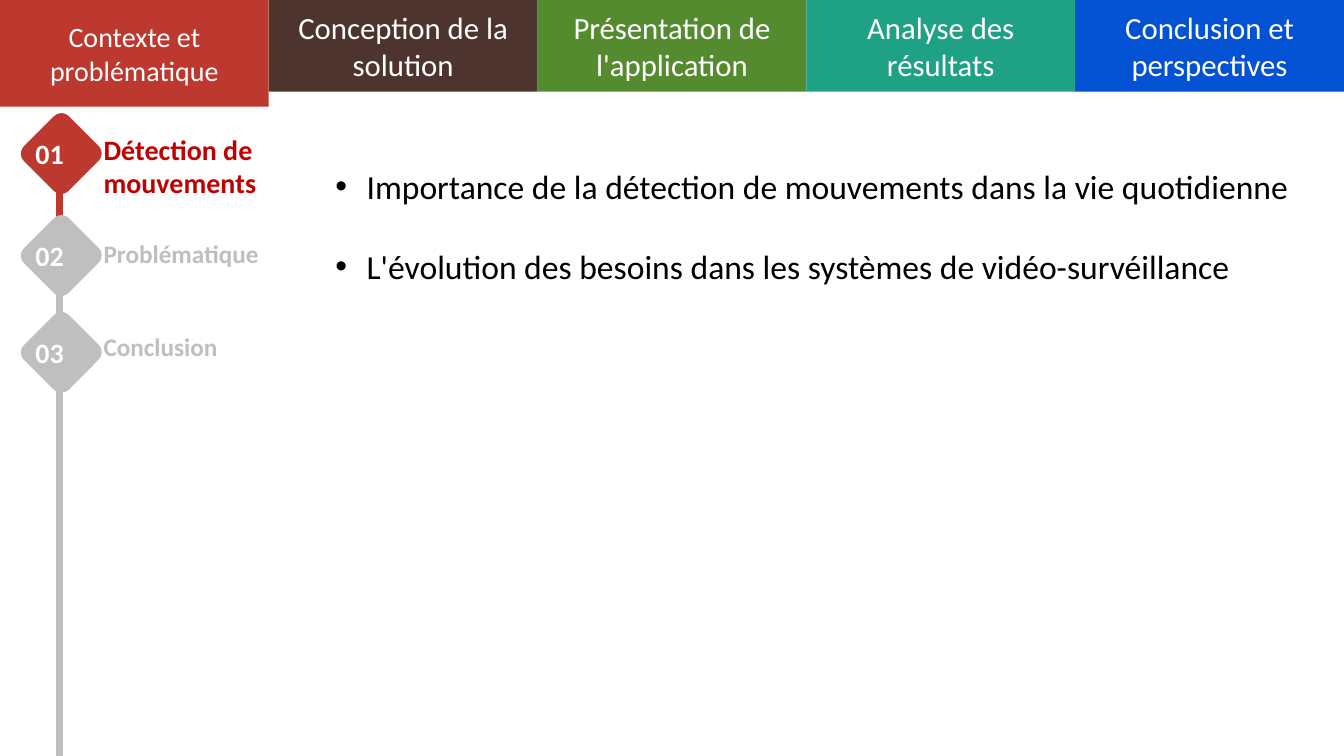
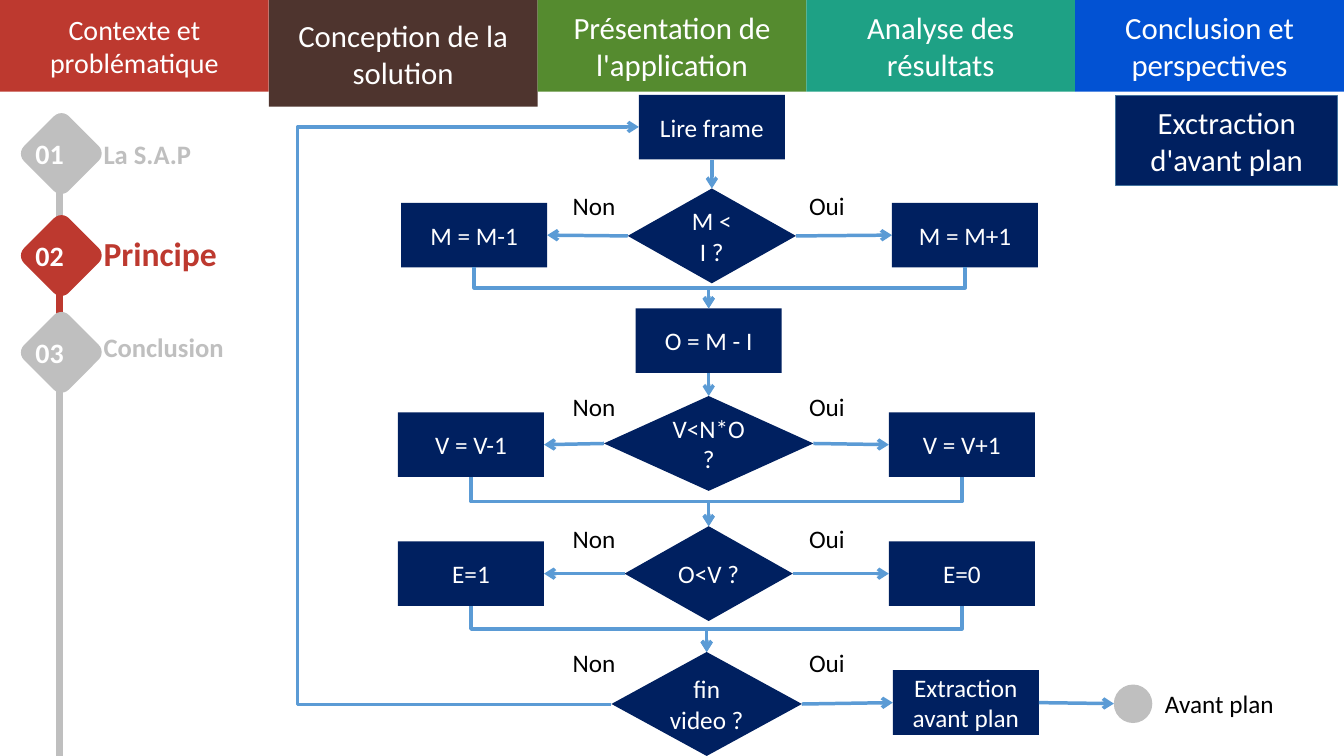
from lxml import etree
from pptx import Presentation
from pptx.dml.color import RGBColor
from pptx.enum.shapes import MSO_CONNECTOR, MSO_SHAPE
from pptx.enum.text import MSO_ANCHOR, PP_ALIGN
from pptx.oxml.ns import qn
from pptx.util import Cm, Pt

RECT = MSO_SHAPE.RECTANGLE
ROUND = MSO_SHAPE.ROUNDED_RECTANGLE
RHOMB = MSO_SHAPE.DIAMOND
OVAL = MSO_SHAPE.OVAL
STRAIGHT = MSO_CONNECTOR.STRAIGHT
ELBOW = MSO_CONNECTOR.ELBOW
LEFT, MID, RIGHT = PP_ALIGN.LEFT, PP_ALIGN.CENTER, PP_ALIGN.RIGHT
TOP, CENTER = MSO_ANCHOR.TOP, MSO_ANCHOR.MIDDLE
N, W, S, E = range(4)

FONT = "Calibri"
WHITE, BLACK, GREY = "FFFFFF", "000000", "BFBFBF"
RED, DARK, NAVY, BLUE = "BD392F", "C00000", "002060", "5B9BD5"
WIDE, HIGH = 33.87, 19.05
BOX_W, BOX_H = 3.68, 1.63
TABS = [
    ("Contexte et problématique", RED, 20),
    ("Conception de la solution", "4E342E", 22),
    ("Présentation de l'application", "558B2F", 22),
    ("Analyse des résultats", "1EA185", 22),
    ("Conclusion et perspectives", "0252D3", 22),
]
STEPS = [3.87, 6.44, 8.88]


def color(code):
    return RGBColor.from_string(code)


class Deck:
    def __init__(self):
        self.prs = Presentation()
        self.prs.slide_width, self.prs.slide_height = Cm(WIDE), Cm(HIGH)
        self.shapes = None

    def page(self, tab, step, labels):
        self.shapes = self.prs.slides.add_slide(self.prs.slide_layouts[6]).shapes
        self.tabs(tab)
        self.rail(step, labels)

    def fill_para(self, para, text, size, ink, align=LEFT, bold=False):
        para.text = text
        para.alignment = align
        font = para.font
        font.name, font.size, font.bold = FONT, Pt(size), bold
        font.color.rgb = color(ink)

    def block(self, kind, x, y, w, h, fill, text="", size=18, edge=None):
        shape = self.shapes.add_shape(kind, Cm(x), Cm(y), Cm(w), Cm(h))
        shape.shadow.inherit = False
        shape.fill.solid()
        shape.fill.fore_color.rgb = color(fill)
        if edge:
            shape.line.color.rgb = color(edge)
            shape.line.width = Pt(1)
        else:
            shape.line.fill.background()
        if text:
            frame = shape.text_frame
            frame.word_wrap = True
            frame.vertical_anchor = CENTER
            self.fill_para(frame.paragraphs[0], text, size, WHITE, MID)
        return shape

    def box(self, x, y, text):
        return self.block(RECT, x, y, BOX_W, BOX_H, NAVY, text)

    def label(self, x, y, w, h, text, size=18, ink=BLACK, align=LEFT,
              bold=False, anchor=TOP):
        frame = self.shapes.add_textbox(Cm(x), Cm(y), Cm(w), Cm(h)).text_frame
        frame.word_wrap = True
        frame.vertical_anchor = anchor
        self.fill_para(frame.paragraphs[0], text, size, ink, align, bold)

    def bullets(self, x, y, w, h, items):
        frame = self.shapes.add_textbox(Cm(x), Cm(y), Cm(w), Cm(h)).text_frame
        frame.word_wrap = True
        for i, item in enumerate(items):
            para = frame.add_paragraph() if i else frame.paragraphs[0]
            if i:
                para.space_before = Pt(28.5)
            props = para._p.get_or_add_pPr()
            props.set("marL", str(Cm(0.79)))
            props.set("indent", str(-Cm(0.79)))
            etree.SubElement(props, qn("a:buFont")).set("typeface", "Arial")
            etree.SubElement(props, qn("a:buChar")).set("char", "•")
            self.fill_para(para, item, 24, BLACK)

    def wire(self, kind, x1, y1, x2, y2):
        return self.shapes.add_connector(kind, Cm(x1), Cm(y1), Cm(x2), Cm(y2))

    def stroke(self, wire, ink=BLUE, width=2.5, arrow=True):
        wire.line.color.rgb = color(ink)
        wire.line.width = Pt(width)
        props = wire._element.spPr
        if arrow:
            tail = etree.SubElement(props.find(qn("a:ln")), qn("a:tailEnd"))
            tail.set("type", "arrow")
        etree.SubElement(props, qn("a:effectLst"))

    def link(self, start, side, end, goal):
        wire = self.wire(STRAIGHT, 0, 0, 0, 0)
        wire.begin_connect(start, side)
        wire.end_connect(end, goal)
        self.stroke(wire)

    def reach(self, start, side, x, y):
        wire = self.wire(STRAIGHT, x, y, x, y)
        wire.begin_connect(start, side)
        self.stroke(wire)

    def drop(self, x1, y1, x2, y2):
        mid_x, mid_y = (x1 + x2) / 2, (y1 + y2) / 2
        half_w, half_h = (y2 - y1) / 2, (x1 - x2) / 2
        wire = self.wire(ELBOW, mid_x - half_w, mid_y - half_h,
                         mid_x + half_w, mid_y + half_h)
        wire._element.spPr.find(qn("a:xfrm")).set("rot", "5400000")
        self.stroke(wire)

    def loop(self, x1, y1, x2, y2, via):
        wire = self.wire(ELBOW, x1, y1, x2, y2)
        geom = wire._element.spPr.find(qn("a:prstGeom"))
        guide = etree.SubElement(geom.find(qn("a:avLst")), qn("a:gd"))
        guide.set("name", "adj1")
        guide.set("fmla", f"val {round((via - x1) / (x2 - x1) * 100000)}")
        self.stroke(wire)

    def tabs(self, active):
        width = WIDE / len(TABS)
        for i, (text, fill, size) in enumerate(TABS):
            height = 2.69 if i == active else 2.31
            self.block(RECT, i * width, 0, width, height, fill, text, size)

    def rail(self, active, labels):
        inks = [RED if i == active else GREY for i in range(len(STEPS))]
        for ink, top, end in zip(inks, STEPS, STEPS[1:] + [HIGH]):
            self.stroke(self.wire(STRAIGHT, 1.51, top, 1.51, end), ink, 5, False)
        for i, (ink, y) in enumerate(zip(inks, STEPS)):
            badge = self.block(ROUND, 0.75, y - 0.8, 1.59, 1.6, ink)
            badge.rotation = 45
            self.label(0.5, y - 0.5, 1.5, 1, f"{i + 1:02}", 20, WHITE, MID,
                       True, CENTER)
        for text, size, ink, y in labels:
            self.label(2.36, y - 0.6, 4.9, 1.2, text, size, ink, LEFT, True,
                       CENTER)


def context(deck):
    deck.page(0, 0, [
        ("Détection de mouvements", 20, DARK, 4.18),
        ("Problématique", 18, GREY, 6.38),
        ("Conclusion", 18, GREY, 8.72),
    ])
    deck.bullets(8.2, 4.06, 25.32, 5.33, [
        "Importance de la détection de mouvements dans la vie quotidienne",
        "L'évolution des besoins dans les systèmes de vidéo-survéillance",
    ])


def design(deck):
    deck.page(1, 1, [
        ("La S.A.P", 19, GREY, 3.89),
        ("Principe", 24, RED, 6.38),
        ("Conclusion", 19, GREY, 8.74),
    ])
    deck.block(RECT, 28.12, 2.41, 5.59, 2.26, NAVY,
               "Exctraction d'avant plan", 22, "43739E")
    read = deck.box(16.1, 2.39, "Lire frame")
    diff = deck.box(16.02, 7.77, "O = M - I")
    final = deck.box(22.5, 16.89, "Extraction avant plan")
    deck.block(OVAL, 28.07, 17.25, 0.97, 0.97, GREY)

    tests = []
    for mid, top, w, h, text, note in [
        (17.94, 4.75, 4.24, 2.39, "M < I ?", 4.67),
        (17.86, 9.98, 5.28, 2.39, "V<N*O ?", 9.73),
        (17.86, 13.26, 4.24, 2.39, "O<V ?", 13.06),
        (17.81, 16.43, 4.8, 2.62, "fin video ?", 16.18),
    ]:
        tests.append(deck.block(RHOMB, mid - w / 2, top, w, h, NAVY, text))
        deck.label(13.88, note, 1.88, 1.02, "Non", align=RIGHT)
        deck.label(20.14, note, 1.88, 1.02, "Oui")

    for test, x, y, no, yes, goal, end in [
        (tests[0], 10.11, 5.11, "M = M-1", "M = M+1", 17.86, 7.77),
        (tests[1], 10.03, 10.39, "V = V-1", "V = V+1", 17.86, 13.26),
        (tests[2], 10.03, 13.64, "E=1", "E=0", 17.81, 16.43),
    ]:
        for left, text, side, back in [(x, no, W, E), (x + 12.37, yes, E, W)]:
            deck.link(test, side, deck.box(left, y, text), back)
            deck.drop(left + BOX_W / 2, y + BOX_H, goal, end)

    deck.link(read, S, tests[0], N)
    deck.link(diff, S, tests[1], N)
    deck.link(tests[3], E, final, W)
    deck.reach(final, E, 28.07, 17.73)
    deck.loop(15.41, 17.75, 16.1, 3.2, 7.5)
    deck.label(29.11, 17.22, 3.99, 1.02, "Avant plan")


def main():
    deck = Deck()
    context(deck)
    design(deck)
    deck.prs.save("out.pptx")


if __name__ == "__main__":
    main()
